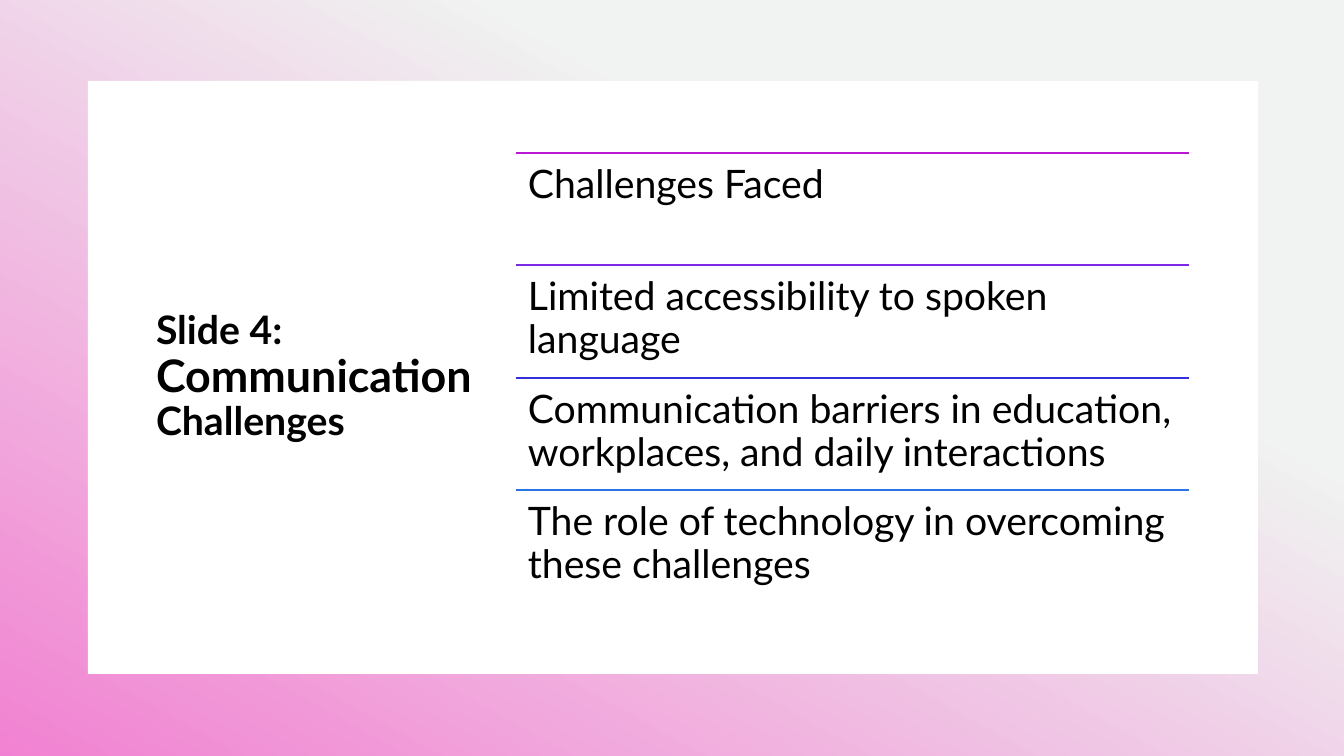
from dataclasses import dataclass

from lxml import etree
from pptx import Presentation
from pptx.dml.color import RGBColor
from pptx.enum.shapes import MSO_CONNECTOR, MSO_SHAPE
from pptx.enum.text import MSO_ANCHOR
from pptx.oxml.ns import qn
from pptx.util import Pt

RECTANGLE = MSO_SHAPE.RECTANGLE
STRAIGHT = MSO_CONNECTOR.STRAIGHT
TOP = MSO_ANCHOR.TOP
MIDDLE = MSO_ANCHOR.MIDDLE


@dataclass(frozen=True)
class Theme:
    font: str = "Lato"
    text: str = "000000"
    panel: str = "FFFFFF"
    mist: str = "F0F3F1"
    pink: str = "F17FD1"
    rules: tuple = ("BA17D5", "7D29E7", "3430D9", "2973E7")
    body_size: int = 28
    emphasis_size: int = 32
    rule_width: int = 1


THEME = Theme()
SLIDE_W, SLIDE_H = 1344, 756
EMU_PER_PX = 12192000 / SLIDE_W


def px(*lengths):
    return [round(length * EMU_PER_PX) for length in lengths]


def add_text(box, inset, anchor, runs, bold):
    frame = slide.shapes.add_textbox(*px(*box)).text_frame
    frame.word_wrap = True
    frame.vertical_anchor = anchor
    frame.margin_left, frame.margin_top, frame.margin_right, frame.margin_bottom = px(*inset)
    paragraph = frame.paragraphs[0]
    paragraph.line_spacing = 0.9
    paragraph.font.name = THEME.font
    paragraph.font.bold = bold
    paragraph.font.size = Pt(THEME.body_size)
    paragraph.font.color.rgb = RGBColor.from_string(THEME.text)
    for words, size in runs:
        run = paragraph.add_run()
        run.text = words
        if size != THEME.body_size:
            run.font.size = Pt(size)


prs = Presentation()
prs.slide_width, prs.slide_height = px(SLIDE_W, SLIDE_H)
slide = prs.slides.add_slide(prs.slide_layouts[6])

backdrop = slide.shapes.add_shape(RECTANGLE, *px(-6, -12, 1357, 779))
backdrop.rotation = 359
backdrop.fill.gradient()
backdrop.fill.gradient_angle = 240
for stop, position, color in zip(
    backdrop.fill.gradient_stops, (0.32, 1), (THEME.mist, THEME.pink)
):
    stop.position = position
    stop.color.rgb = RGBColor.from_string(color)

panel = slide.shapes.add_shape(RECTANGLE, *px(88, 81, 1170, 593))
panel.fill.solid()
panel.fill.fore_color.rgb = RGBColor.from_string(THEME.panel)

for surface in (backdrop, panel):
    surface.line.fill.background()
    surface.shadow.inherit = False

title = [
    ("Slide 4: ", THEME.body_size),
    ("Communication", THEME.emphasis_size),
    (" Challenges", THEME.body_size),
]
add_text((146, 227, 361, 301), (10, 5, 10, 5), MIDDLE, title, True)

challenges = [
    "Challenges Faced",
    "Limited accessibility to spoken language",
    "Communication barriers in education, workplaces, and daily interactions",
    "The role of technology in overcoming these challenges",
]
LIST_LEFT, LIST_TOP, LIST_W, LIST_H = 516, 153, 673, 450
ROW_H = LIST_H // len(challenges)

for index, (challenge, color) in enumerate(zip(challenges, THEME.rules)):
    top = LIST_TOP + index * LIST_H // len(challenges)
    rule = slide.shapes.add_connector(STRAIGHT, *px(LIST_LEFT, top, LIST_LEFT + LIST_W, top))
    rule.line.color.rgb = RGBColor.from_string(color)
    rule.line.width = Pt(THEME.rule_width)
    etree.SubElement(rule._element.spPr, qn("a:effectLst"))
    row = (LIST_LEFT, top, LIST_W, ROW_H)
    add_text(row, (12, 12, 12, 12), TOP, [(challenge, THEME.body_size)], False)

prs.save("out.pptx")
